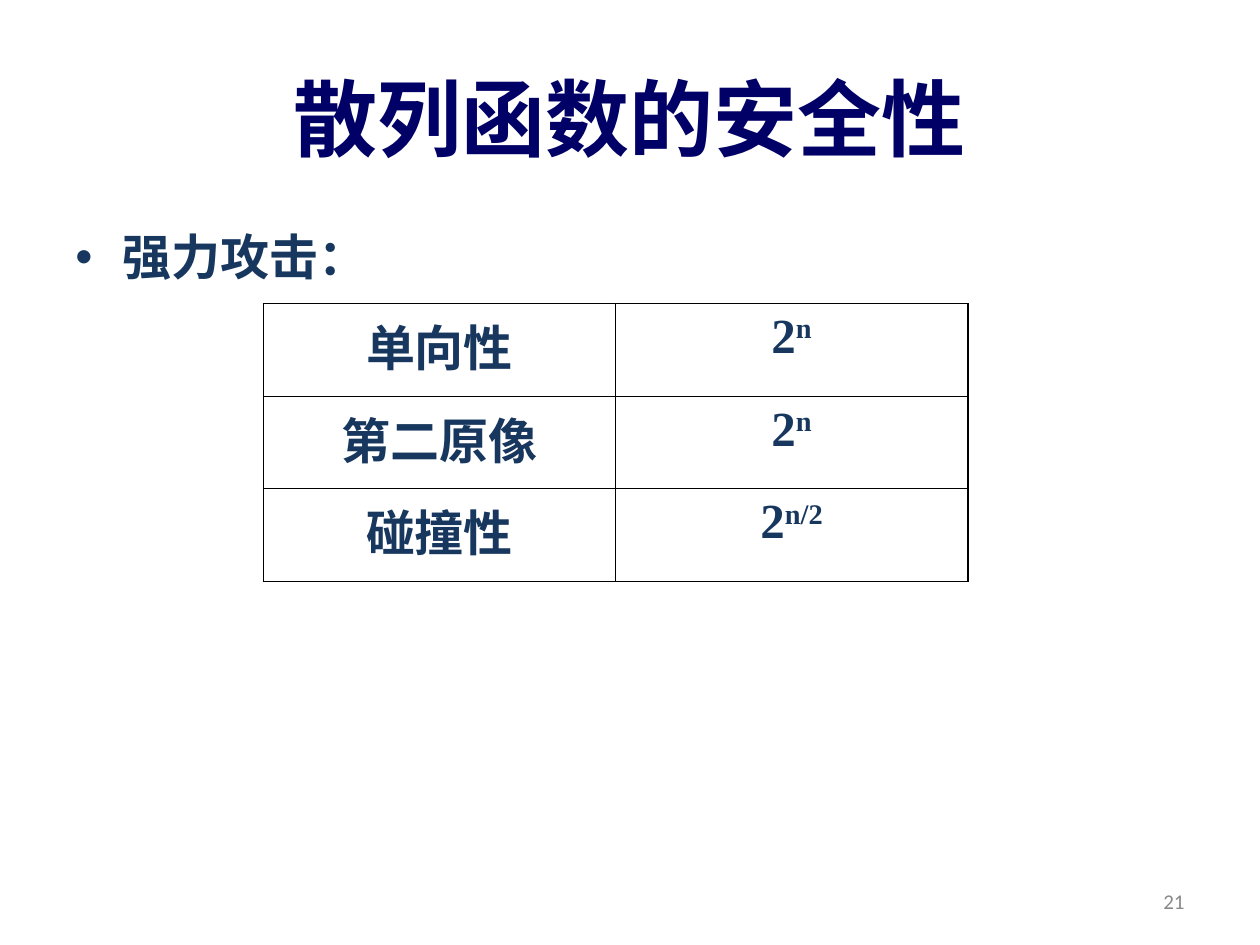
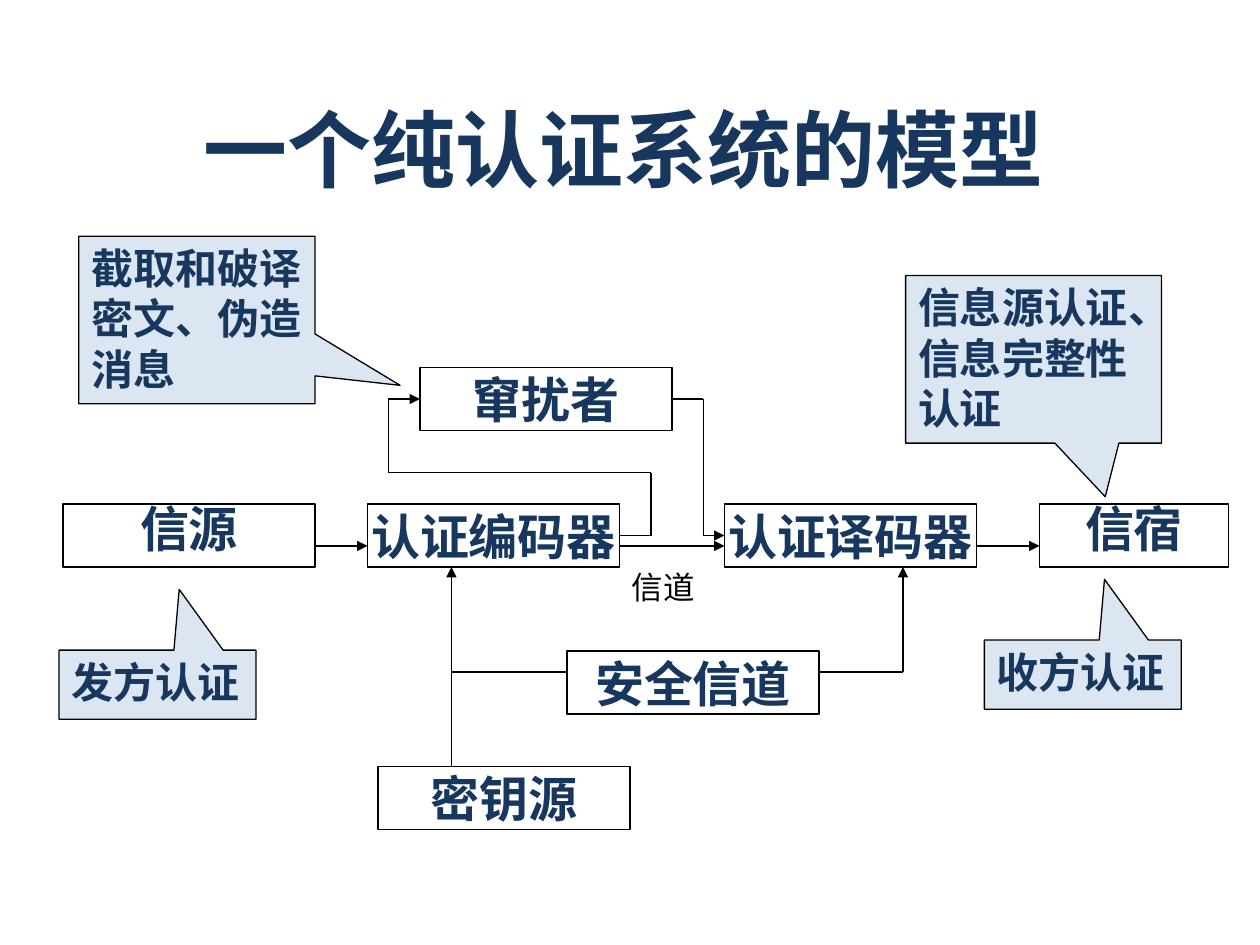
from itertools import pairwise

from lxml.etree import SubElement
from pptx import Presentation
from pptx.dml.color import RGBColor
from pptx.enum.shapes import MSO_CONNECTOR, MSO_SHAPE
from pptx.enum.text import MSO_ANCHOR as Anchor, PP_ALIGN as Align
from pptx.oxml.ns import qn
from pptx.util import Pt

COLORS = {
    "navy": "17375E",
    "title": "000066",
    "callout": "DCE6F2",
    "line": "000000",
    "number": "898989",
}
CJK = "Noto Sans CJK JP"
LINE_WIDTH = 0.75
OUTER_BORDER, INNER_BORDER = 1.08, 0.45


def color(name):
    return RGBColor.from_string(COLORS[name])


class Deck:
    """Holds the shared style and the slide being drawn."""

    def __init__(self):
        self.prs = Presentation()
        self.prs.slide_width, self.prs.slide_height = Pt(720), Pt(540)
        self.slide = None

    def new_slide(self):
        self.slide = self.prs.slides.add_slide(self.prs.slide_layouts[6])

    def style_paragraph(self, paragraph, size, font="Arial", ink="navy",
                        bold=True, align=Align.LEFT):
        paragraph.alignment = align
        for run in paragraph.runs:
            run.font.size = Pt(size)
            run.font.bold = bold
            run.font.color.rgb = color(ink)
            run.font.name = font
            SubElement(run._r.get_or_add_rPr(), qn("a:ea"), typeface=CJK)

    def fill_frame(self, frame, words, size, anchor=Anchor.TOP, wrap=True, **style):
        frame.text = words
        frame.word_wrap = wrap
        frame.vertical_anchor = anchor
        for paragraph in frame.paragraphs:
            self.style_paragraph(paragraph, size, **style)

    def text(self, words, box, size, **style):
        frame = self.slide.shapes.add_textbox(*map(Pt, box)).text_frame
        self.fill_frame(frame, words, size, **style)
        return frame

    def title(self, words, box, font, ink):
        self.text(words, box, 48, font=font, ink=ink,
                  anchor=Anchor.MIDDLE, align=Align.CENTER)

    def bullet(self, words, box):
        paragraph = self.text(words, box, 28, font="Calibri").paragraphs[0]
        props = paragraph._p.get_or_add_pPr()
        props.set("marL", str(Pt(27)))
        props.set("indent", str(Pt(-27)))
        bullet_color = SubElement(props, qn("a:buClr"))
        SubElement(bullet_color, qn("a:srgbClr"), val=COLORS["navy"])
        SubElement(props, qn("a:buFont"), typeface="Arial")
        SubElement(props, qn("a:buChar"), char="•")

    def shape(self, preset, box):
        shape = self.slide.shapes.add_shape(preset, *map(Pt, box))
        shape.shadow.inherit = False
        shape.fill.background()
        shape.line.color.rgb = color("line")
        shape.line.width = Pt(LINE_WIDTH)
        return shape

    def node(self, words, left, top, width=144, lift=0):
        """Draw a box of the model; lift raises its text above the middle."""
        frame = self.shape(MSO_SHAPE.RECTANGLE, (left, top, width, 36)).text_frame
        self.fill_frame(frame, words, 28, anchor=Anchor.MIDDLE,
                        wrap=False, align=Align.CENTER)
        frame.margin_bottom = Pt(3.6 + 2 * lift)

    def callout(self, words, box, tip):
        callout = self.shape(MSO_SHAPE.RECTANGULAR_CALLOUT, box)
        callout.fill.solid()
        callout.fill.fore_color.rgb = color("callout")
        callout.adjustments[0], callout.adjustments[1] = tip
        self.fill_frame(callout.text_frame, words, 24, wrap=False)

    def route(self, *points, arrow=True):
        """Join the points with straight lines, the last one with an arrowhead."""
        for start, end in pairwise(points):
            line = self.slide.shapes.add_connector(
                MSO_CONNECTOR.STRAIGHT, *map(Pt, start + end))
            line.line.color.rgb = color("line")
            line.line.width = Pt(LINE_WIDTH)
            if arrow and end == points[-1]:
                SubElement(line.line._get_or_add_ln(), qn("a:tailEnd"), type="triangle")
            SubElement(line._element.spPr, qn("a:effectLst"))

    def border(self, cell, side, width):
        line = SubElement(cell._tc.get_or_add_tcPr(), qn(f"a:ln{side}"),
                          w=str(Pt(width)))
        fill = SubElement(line, qn("a:solidFill"))
        SubElement(fill, qn("a:srgbClr"), val=COLORS["line"])

    def table(self, rows, box):
        """Draw rows of cells, each cell a (text, superscript) pair."""
        last_row, last_column = len(rows) - 1, len(rows[0]) - 1
        table = self.slide.shapes.add_table(
            len(rows), len(rows[0]), *map(Pt, box)).table
        table.first_row = table.horz_banding = False
        for r, row in enumerate(rows):
            for c, (words, exponent) in enumerate(row):
                cell = table.cell(r, c)
                edges = {"L": c == 0, "R": c == last_column,
                         "T": r == 0, "B": r == last_row}
                for side, outer in edges.items():
                    self.border(cell, side, OUTER_BORDER if outer else INNER_BORDER)
                cell.fill.background()
                paragraph = cell.text_frame.paragraphs[0]
                paragraph.text = words
                if exponent:
                    raised = paragraph.add_run()
                    raised.text = exponent
                    raised.font._element.set("baseline", "30000")
                self.style_paragraph(paragraph, 28, font="Times New Roman",
                                     align=Align.CENTER)

    def page_number(self, number):
        self.text(str(number), (516, 500.5, 168, 28.75), 12, font="Calibri",
                  ink="number", bold=False, anchor=Anchor.MIDDLE, align=Align.RIGHT)


def hash_security(deck):
    deck.new_slide()
    deck.page_number(21)
    deck.title("散列函数的安全性", (36, 21.6, 648, 90), "Times New Roman", "title")
    deck.bullet("强力攻击：", (36, 126, 648, 356))
    attack_costs = [
        [("单向性", ""), ("2", "n")],
        [("第二原像", ""), ("2", "n")],
        [("碰撞性", ""), ("2", "n/2")],
    ]
    deck.table(attack_costs, (150.5, 173.5, 402.5, 158.75))


def authentication_model(deck):
    deck.new_slide()
    deck.node("窜扰者", 240, 210)
    deck.node("信宿", 594, 288, width=108, lift=4.5)
    deck.node("信源", 36, 288, lift=4.5)
    deck.node("认证编码器", 210, 288)
    deck.node("认证译码器", 414, 288)
    deck.text("信道", (354, 321, 90, 29), 18, ink="line", bold=False)

    for start, end in [(354, 414), (180, 210), (558, 594)]:
        deck.route((start, 312), (end, 312))
    # Tapped by the intruder and fed back into the channel
    deck.route((354, 306), (372, 306), (372, 270), (222, 270), (222, 228), (240, 228))
    deck.route((384, 228), (402, 228), (402, 306), (414, 306))

    deck.node("安全信道", 324, 372)
    deck.node("密钥源", 216, 438)
    deck.route((258, 438), (258, 324))
    deck.route((258, 384), (324, 384), arrow=False)
    deck.route((468, 384), (516, 384), (516, 324))

    deck.title("一个纯认证系统的模型", (50.4, 39.6, 612, 90), CJK, "navy")
    deck.callout("信息源认证、\n信息完整性\n认证", (517.5, 157.5, 146.25, 95.75), (0.28, 0.82))
    deck.callout("截取和破译\n密文、伪造\n消息", (45, 135, 135, 95.75), (0.86, 0.39))
    for words, left, top in [("发方认证", 33.75, 371.5), ("收方认证", 562.5, 365.75)]:
        deck.callout(words, (left, top, 112.5, 39.5), (0.11, -1.38))


def main():
    deck = Deck()
    hash_security(deck)
    authentication_model(deck)
    deck.prs.save("out.pptx")


if __name__ == "__main__":
    main()
